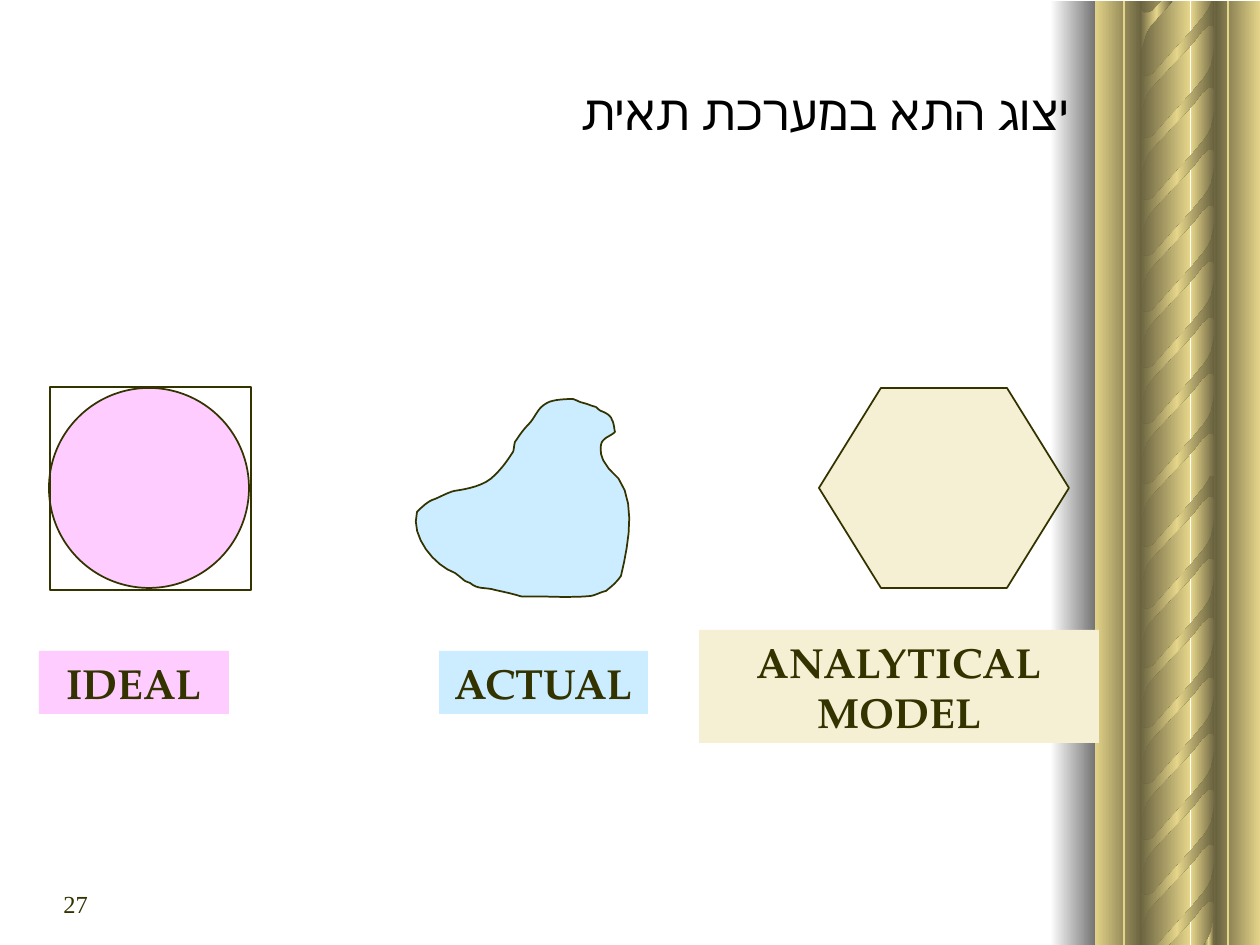
"""Slide on cell representations: ideal, actual and analytical, beside a gold column."""
from lxml.etree import SubElement
from pptx import Presentation
from pptx.dml.color import RGBColor
from pptx.enum.shapes import MSO_CONNECTOR, MSO_SHAPE
from pptx.enum.text import MSO_ANCHOR, PP_ALIGN
from pptx.oxml import parse_xml
from pptx.oxml.ns import nsdecls, qn
from pptx.util import Pt

PX = 914400 // 126
COLORS = {
    "dark": "69623F", "gold": "E5D58A", "gray": "757575", "white": "FFFFFF",
    "ink": "333300", "black": "000000",
    "pink": "FFCCFF", "blue": "CCECFF", "cream": "F5EFD3",
}
SERIF, PAGELLA = "Times New Roman", "TeX Gyre Pagella"

TITLE = ("יצוג התא במערכת תאית", (0, 32, 1081, 157))
NUMBER = ("27", (21, 872, 262, 63))
LABELS = [
    ("IDEAL", (39, 651, 190, 63), "pink"),
    ("ACTUAL", (439, 651, 209, 63), "blue"),
    ("ANALYTICAL MODEL", (699, 630, 400, 113), "cream"),
]

STRIPS = [(1191, 25, "dark", "gold"), (1094, 48, "dark", "gold"),
          (1140, 50, "gold", "dark"), (1216, 44, "gold", "dark")]
HALF_HEIGHT = 475
BOTTOM = 946
HALVES = [
    (471, [457, 519, 578, 638, 694, 750, 805, 862, 915]),
    (1, [-77, -14, 48, 110, 166, 222, 278, 334, 394]),
]
GROOVES = (1124, 1228)
RIBBON_LEFT = 1140
RIBBON = [
    (74, 11), (74, 42), (73, 40), (68, 40), (66, 42), (62, 45), (53, 57),
    (32, 79), (10, 103), (6, 110), (4, 117), (1, 127), (0, 141), (0, 79),
    (1, 86), (2, 88), (4, 90), (6, 90), (9, 90), (13, 88), (55, 41),
    (64, 30), (68, 24), (71, 18), (73, 8), (74, 0), (74, 25),
]

BLOB_START = (587, 404)
BLOB_CURVES = [
    ((576, 401), (581, 402), (573, 399)), ((571, 399), (553, 399), (547, 403)),
    ((537, 408), (536, 417), (528, 425)), ((523, 430), (519, 436), (515, 442)),
    ((514, 445), (514, 450), (513, 452)), ((507, 461), (503, 467), (495, 475)),
    ((485, 486), (467, 489), (454, 491)), ((447, 493), (442, 496), (435, 499)),
    ((428, 501), (422, 507), (417, 512)), ((410, 537), (435, 566), (455, 573)),
    ((467, 582), (462, 580), (470, 583)), ((478, 590), (486, 587), (495, 590)),
    ((543, 600), (496, 595), (561, 597)), ((571, 597), (581, 597), (591, 596)),
    ((596, 595), (601, 592), (606, 591)), ((612, 586), (616, 583), (621, 576)),
    ((629, 542), (639, 491), (609, 469)), ((601, 457), (604, 462), (601, 454)),
    ((601, 450), (600, 446), (602, 442)), ((605, 437), (611, 436), (615, 432)),
    ((614, 428), (614, 423), (612, 420)), ((611, 415), (604, 412), (601, 411)),
    ((599, 410), (597, 408), (596, 407)), ((592, 406), (587, 404), (587, 404)),
]


def rgb(name):
    return RGBColor.from_string(COLORS[name])


def style(sp, fill=None, line=None):
    sp.shadow.inherit = False
    if fill:
        sp.fill.solid()
        sp.fill.fore_color.rgb = rgb(fill)
    else:
        sp.fill.background()
    if line:
        sp.line.color.rgb = rgb(line)
        sp.line.width = Pt(1)
    else:
        sp.line.fill.background()
    return sp


def shade(sp, *names):
    style(sp)
    stops = "".join(
        f'<a:gs pos="{100000 * i // (len(names) - 1)}"><a:srgbClr val="{COLORS[n]}"/></a:gs>'
        for i, n in enumerate(names))
    grad = parse_xml(f'<a:gradFill {nsdecls("a")} rotWithShape="1"><a:gsLst>{stops}</a:gsLst>'
                     '<a:lin ang="10800000" scaled="0"/></a:gradFill>')
    spPr = sp.element.spPr
    spPr.replace(spPr.find(qn("a:noFill")), grad)


def add_shape(s, kind, box):
    return s.shapes.add_shape(kind, *(v * PX for v in box))


def add_outline(s, points):
    first, *rest = [(round(x * PX), round(y * PX)) for x, y in points]
    fb = s.shapes.build_freeform(*first)
    fb.add_line_segments(rest, close=True)
    return fb.convert_to_shape()


def cut(points, edge, sign):
    kept = []
    for (x0, y0), (x1, y1) in zip(points[-1:] + points[:-1], points):
        inside0, inside1 = sign * (y0 - edge) >= 0, sign * (y1 - edge) >= 0
        if inside0 != inside1:
            kept.append((x0 + (x1 - x0) * (edge - y0) / (y1 - y0), edge))
        if inside1:
            kept.append((x1, y1))
    return kept


def trace(start, curves, steps=8):
    points = [start]
    for c1, c2, end in curves:
        p0 = points[-1]
        for t in (i / steps for i in range(1, steps + 1)):
            u = 1 - t
            points.append(tuple(
                u**3 * a + 3 * u * u * t * b + 3 * u * t * t * c + t**3 * d
                for a, b, c, d in zip(p0, c1, c2, end)))
    return points


def write(sp, text, size, font, color, align, anchor=MSO_ANCHOR.TOP, bold=False):
    tf = sp.text_frame
    tf.word_wrap = True
    tf.vertical_anchor = anchor
    p = tf.paragraphs[0]
    p.text = text
    p.alignment = align
    r = p.runs[0]
    r.font.size, r.font.name, r.font.bold = Pt(size), font, bold
    r.font.color.rgb = rgb(color)
    return p


def add_text(s, text, box, *args):
    return write(s.shapes.add_textbox(*(v * PX for v in box)), text, *args)


def draw_column(s):
    for top, ribbons in HALVES:
        for x, w, *shades in STRIPS:
            shade(add_shape(s, MSO_SHAPE.RECTANGLE, (x, top, w, HALF_HEIGHT)), *shades)
        for y in ribbons:
            outline = [(RIBBON_LEFT + dx, y + dy) for dx, dy in RIBBON]
            outline = cut(cut(outline, top, 1), BOTTOM, -1)
            shade(add_outline(s, outline), "dark", "gold", "dark")
    shade(add_shape(s, MSO_SHAPE.RECTANGLE, (1050, 1, 45, 945)), "gray", "white")
    for x in GROOVES:
        line = s.shapes.add_connector(MSO_CONNECTOR.STRAIGHT, x * PX, PX, x * PX, BOTTOM * PX)
        line.line.color.rgb = rgb("gold")
        line.line.width = Pt(1)
        SubElement(line.element.spPr, qn("a:effectLst"))


def main():
    prs = Presentation()
    prs.slide_width, prs.slide_height = 1260 * PX, 945 * PX
    s = prs.slides.add_slide(prs.slide_layouts[6])
    draw_column(s)

    p = add_text(s, *TITLE, 28, SERIF, "black", PP_ALIGN.RIGHT, MSO_ANCHOR.MIDDLE)
    p._p.get_or_add_pPr().set("rtl", "1")

    hexagon = style(add_shape(s, MSO_SHAPE.HEXAGON, (819, 388, 250, 200)), "cream", "ink")
    hexagon.adjustments[0] = 0.31
    style(add_shape(s, MSO_SHAPE.OVAL, (49, 388, 200, 200)), "pink", "ink")
    style(add_outline(s, trace(BLOB_START, BLOB_CURVES)), "blue", "ink")
    for text, box, fill in LABELS:
        sp = style(add_shape(s, MSO_SHAPE.RECTANGLE, box), fill)
        write(sp, text, 24, PAGELLA, "ink", PP_ALIGN.CENTER, bold=True)
    style(add_shape(s, MSO_SHAPE.RECTANGLE, (50, 387, 201, 203)), line="ink")

    p = add_text(s, *NUMBER, 14, SERIF, "ink", PP_ALIGN.LEFT, MSO_ANCHOR.MIDDLE)
    p._p.get_or_add_pPr().set("marL", str(30 * PX))
    prs.save("out.pptx")


if __name__ == "__main__":
    main()
